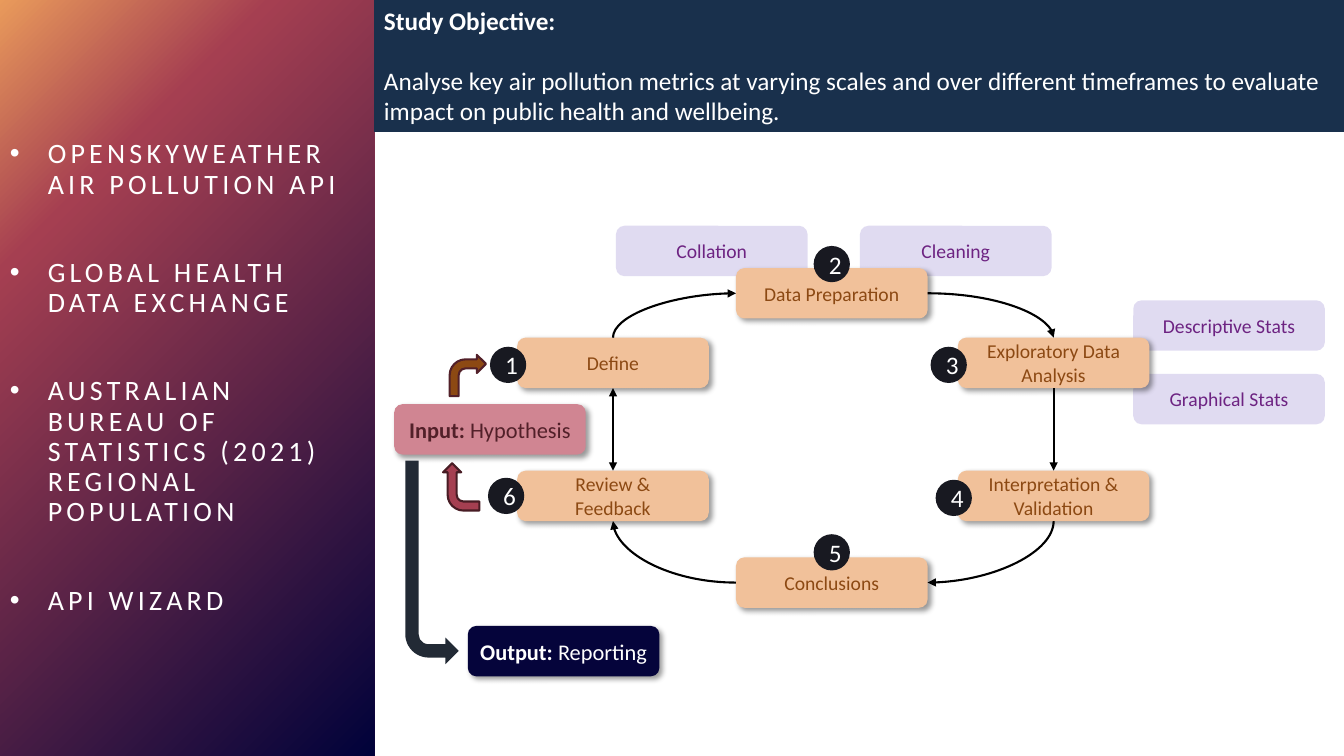
import lxml.etree
import pptx
import pptx.dml.color
import pptx.enum.shapes
import pptx.enum.text
import pptx.oxml.ns
import pptx.util

KIND = pptx.enum.shapes.MSO_SHAPE
WIRE = pptx.enum.shapes.MSO_CONNECTOR
ALIGN = pptx.enum.text.PP_ALIGN
ANCHOR = pptx.enum.text.MSO_ANCHOR
TOP, LEFT, BOTTOM, RIGHT = range(4)


class Theme:
    font = "Calibri"
    white, black = "FFFFFF", "000000"
    banner, badge, slate = "19304C", "181921", "222A35"
    step, brown = "F1C19A", "8C4913"
    side, violet = "9C8DD3", "6D2382"
    input, wine, rose, plum = "D08592", "522029", "A53F51", "481C24"
    output = "05043B"
    blend = ((0, "00023A"), (76, "A53F51"), (100, "E99A5B"))
    list, lead, major, small = 20, 18, 16, 14
    line = 1.5


# The slide is 133.3 columns by 75 rows of square cells
COLS, ROWS = 133.3, 75
PANEL, HEAD = 37.1, 13.1
NODE = (19, 5)
DISC = 3.6


def cells(n):
    return pptx.util.Inches(n / 10)


def color(text):
    return pptx.dml.color.RGBColor.from_string(text)


def add(parent, tag, **attrs):
    node = lxml.etree.SubElement(parent, pptx.oxml.ns.qn(tag))
    for key, value in attrs.items():
        node.set(key, str(value))
    return node


def blend(props, stops):
    grad = add(props, "a:gradFill", rotWithShape=1)
    group = add(grad, "a:gsLst")
    for pos, tone in stops:
        add(add(group, "a:gs", pos=pos * 1000), "a:srgbClr", val=tone)
    round_ = add(grad, "a:path", path="circle")
    add(round_, "a:fillToRect", l=100000, t=100000)


def shade(shape):
    effect = shape._element.spPr.find(pptx.oxml.ns.qn("a:effectLst"))
    outer = add(effect, "a:outerShdw", blurRad=50800, dist=38100,
                dir=2700000, algn="tl", rotWithShape=0)
    add(add(outer, "a:srgbClr", val=Theme.black), "a:alpha", val=40000)


def draw(slide, kind, box, fill, line=None, alpha=None, shadow=False):
    shape = slide.shapes.add_shape(kind, *[cells(n) for n in box])
    props = shape._element.spPr
    if isinstance(fill, str):
        shape.fill.solid()
        shape.fill.fore_color.rgb = color(fill)
        if alpha:
            tone = props.find(".//" + pptx.oxml.ns.qn("a:srgbClr"))
            add(tone, "a:alpha", val=alpha * 1000)
    else:
        blend(props, fill)
    if line:
        shape.line.color.rgb = color(line)
        shape.line.width = pptx.util.Pt(Theme.line)
    else:
        shape.line.fill.background()
    shape.shadow.inherit = False
    if shadow:
        shade(shape)
    return shape


def write(shape, paras, size, tone=Theme.white, align=ALIGN.CENTER,
          anchor=ANCHOR.MIDDLE, inset=None, gap=0, pitch=None,
          bullet=False, track=0):
    """Each paragraph is a list of (text, bold) runs."""
    frame = shape.text_frame
    frame.word_wrap = True
    frame.vertical_anchor = anchor
    if inset is not None:
        frame.margin_left = frame.margin_right = cells(inset)
        frame.margin_top = frame.margin_bottom = cells(inset)
    for i, runs in enumerate(paras):
        para = frame.add_paragraph() if i else frame.paragraphs[0]
        para.alignment = align
        if pitch:
            para.line_spacing = pitch
        if i and gap:
            para.space_before = pptx.util.Pt(gap)
        if bullet:
            props = para._p.get_or_add_pPr()
            props.set("marL", str(cells(3.75)))
            props.set("indent", str(-cells(3.75)))
            add(props, "a:buFont", typeface="Arial")
            add(props, "a:buChar", char="•")
        for text, bold in runs:
            run = para.add_run()
            run.text = text
            run.font.name = Theme.font
            run.font.size = pptx.util.Pt(size)
            run.font.bold = bold
            run.font.color.rgb = color(tone)
            if track:
                run._r.get_or_add_rPr().set("spc", str(track * 100))


def join(slide, kind, start, end, heads):
    """Join two (shape, side) pairs; heads names the ends with arrows."""
    wire = slide.shapes.add_connector(kind, 0, 0, 0, 0)
    wire.begin_connect(*start)
    wire.end_connect(*end)
    wire.line.color.rgb = color(Theme.black)
    wire.line.width = pptx.util.Pt(Theme.line)
    props = wire._element.spPr
    if kind == WIRE.CURVE:
        props.find(pptx.oxml.ns.qn("a:prstGeom")).set("prst", "curvedConnector2")
    for head in heads:
        add(wire.line._get_or_add_ln(), "a:" + head, type="triangle")
    add(props, "a:effectLst")


def sources(slide, box):
    panel = draw(slide, KIND.RECTANGLE, box, Theme.blend)
    names = ("OPENSKYWEATHER AIR POLLUTION API", "GLOBAL HEALTH DATA EXCHANGE",
             "AUSTRALIAN BUREAU OF STATISTICS (2021) REGIONAL POPULATION",
             "API WIZARD")
    write(panel, [[(name, False)] for name in names], Theme.list,
          align=ALIGN.LEFT, gap=41.5, pitch=0.9, bullet=True, track=3)


def banner(slide, box):
    bar = draw(slide, KIND.RECTANGLE, box, Theme.banner)
    aim = ("Analyse key air pollution metrics at varying scales and over "
           "different timeframes to evaluate impact on public health and "
           "wellbeing.")
    write(bar, [[("Study Objective:", True)], [(aim, False)]], Theme.lead,
          align=ALIGN.LEFT, anchor=ANCHOR.TOP, gap=21.5)


def cycle(slide, box):
    left, top = box[:2]

    def node(x, y, paras, fill, tone, size=Theme.small, **style):
        shape = draw(slide, KIND.ROUNDED_RECTANGLE,
                     (left + x, top + y, *NODE), fill, **style)
        write(shape, paras, size, tone, inset=0)
        return shape

    # Side tasks, behind the steps
    for x, y, text in ((24, 9.3, "Collation"), (48.2, 9.3, "Cleaning"),
                       (75.3, 16.7, "Descriptive Stats"),
                       (75.3, 24, "Graphical Stats")):
        node(x, y, [[(text, False)]], Theme.side, Theme.violet, alpha=31)

    # Steps: column, row, badge offset, lines
    west, mid, east = 14.2, 35.9, 57.9
    plan = ((west, 20.4, -2.7, 0.9, ["Define"]),
            (mid, 13.5, 7.7, -2.2, ["Data Preparation"]),
            (east, 20.4, -2.7, 0.9, ["Exploratory Data Analysis"]),
            (east, 33.6, -2.2, 0.9, ["Interpretation & Validation"]),
            (mid, 42.2, 7.7, -2.3, ["Conclusions"]),
            (west, 33.6, -2.9, 0.7, ["Review &", "Feedback"]))
    steps = [node(x, y, [[(line, False)] for line in lines],
                  Theme.step, Theme.brown, shadow=True)
             for x, y, _, _, lines in plan]
    define, prep, explore, check, close, review = steps

    # Arrows round the cycle; each curve leaves a step sideways
    for start, end, head in (((prep, RIGHT), (explore, TOP), "tailEnd"),
                             ((close, RIGHT), (check, BOTTOM), "headEnd"),
                             ((close, LEFT), (review, BOTTOM), "tailEnd"),
                             ((prep, LEFT), (define, TOP), "headEnd")):
        join(slide, WIRE.CURVE, start, end, [head])
    join(slide, WIRE.STRAIGHT, (explore, BOTTOM), (check, TOP), ["tailEnd"])
    join(slide, WIRE.STRAIGHT, (review, TOP), (define, BOTTOM),
         ["headEnd", "tailEnd"])

    # Number badges
    for i, (x, y, dx, dy, _) in enumerate(plan, 1):
        disc = draw(slide, KIND.OVAL, (left + x + dx, top + y + dy, DISC, DISC),
                    Theme.badge)
        write(disc, [[(str(i), False)]], Theme.lead)

    # Input and output
    node(2, 27, [[("Input: ", True), ("Hypothesis", False)]], Theme.input,
         Theme.wine, Theme.major, shadow=True)
    node(9.3, 49, [[("Output: ", True), ("Reporting", False)]], Theme.output,
         Theme.white, Theme.major, shadow=True)

    # Bent arrows
    for x, y, w, h, fill, line, turn, flip in (
            (3.1, 32.6, 5.3, 20.2, Theme.slate, None, 0, True),
            (6.3, 33.4, 4.7, 3.6, Theme.rose, Theme.plum, 270, False),
            (7.5, 22.1, 3.6, 4.1, Theme.brown, Theme.wine, 0, False)):
        arrow = draw(slide, KIND.BENT_ARROW, (left + x, top + y, w, h),
                     fill, line)
        arrow.rotation = turn
        if flip:
            arrow._element.spPr.xfrm.set("flipV", "1")


def main():
    deck = pptx.Presentation()
    deck.slide_width, deck.slide_height = cells(COLS), cells(ROWS)
    slide = deck.slides.add_slide(deck.slide_layouts[6])
    sources(slide, (0, 0, PANEL, ROWS))
    cycle(slide, (PANEL, HEAD, COLS - PANEL, ROWS - HEAD))
    banner(slide, (PANEL, 0, COLS - PANEL, HEAD))
    deck.save("out.pptx")


if __name__ == "__main__":
    main()
